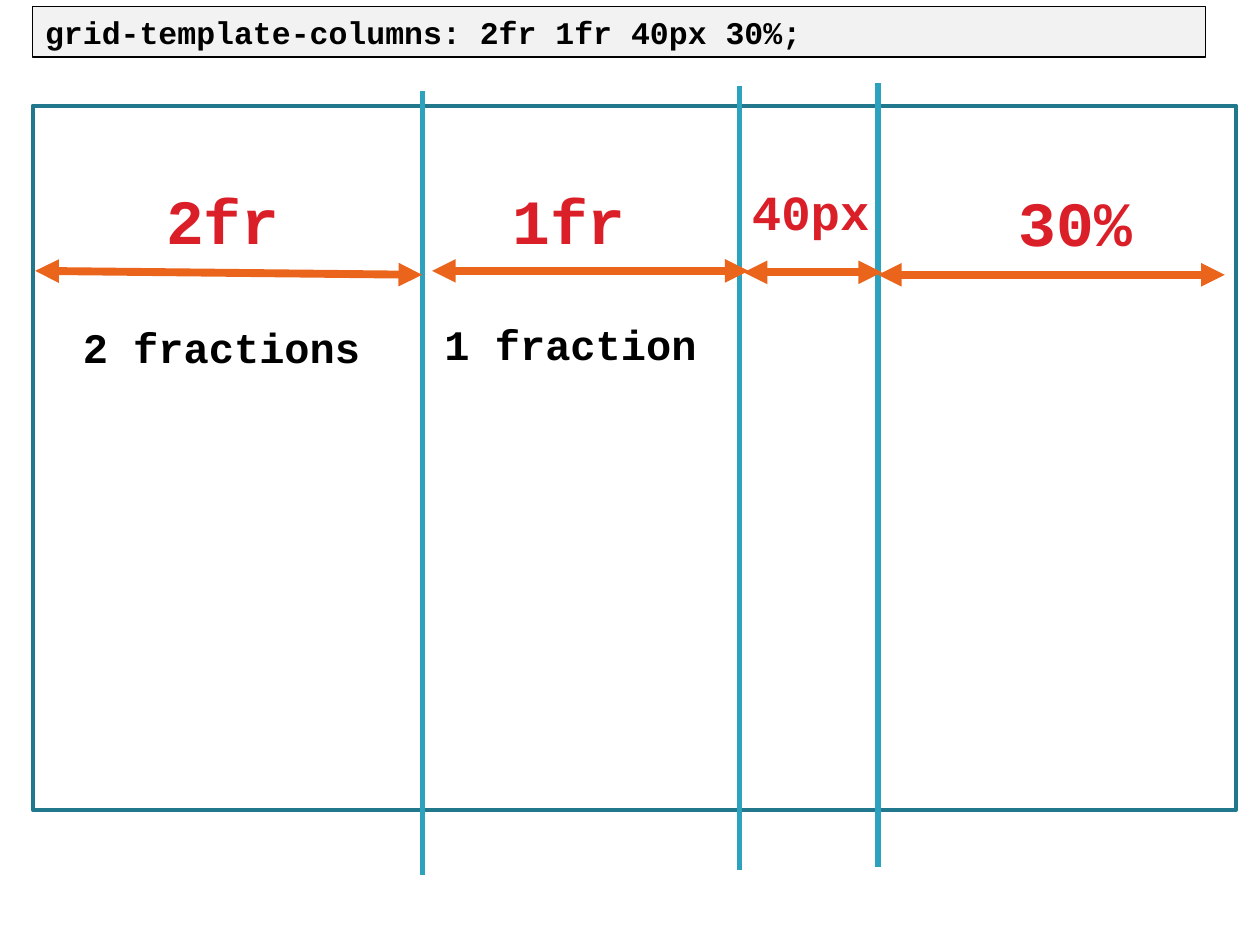
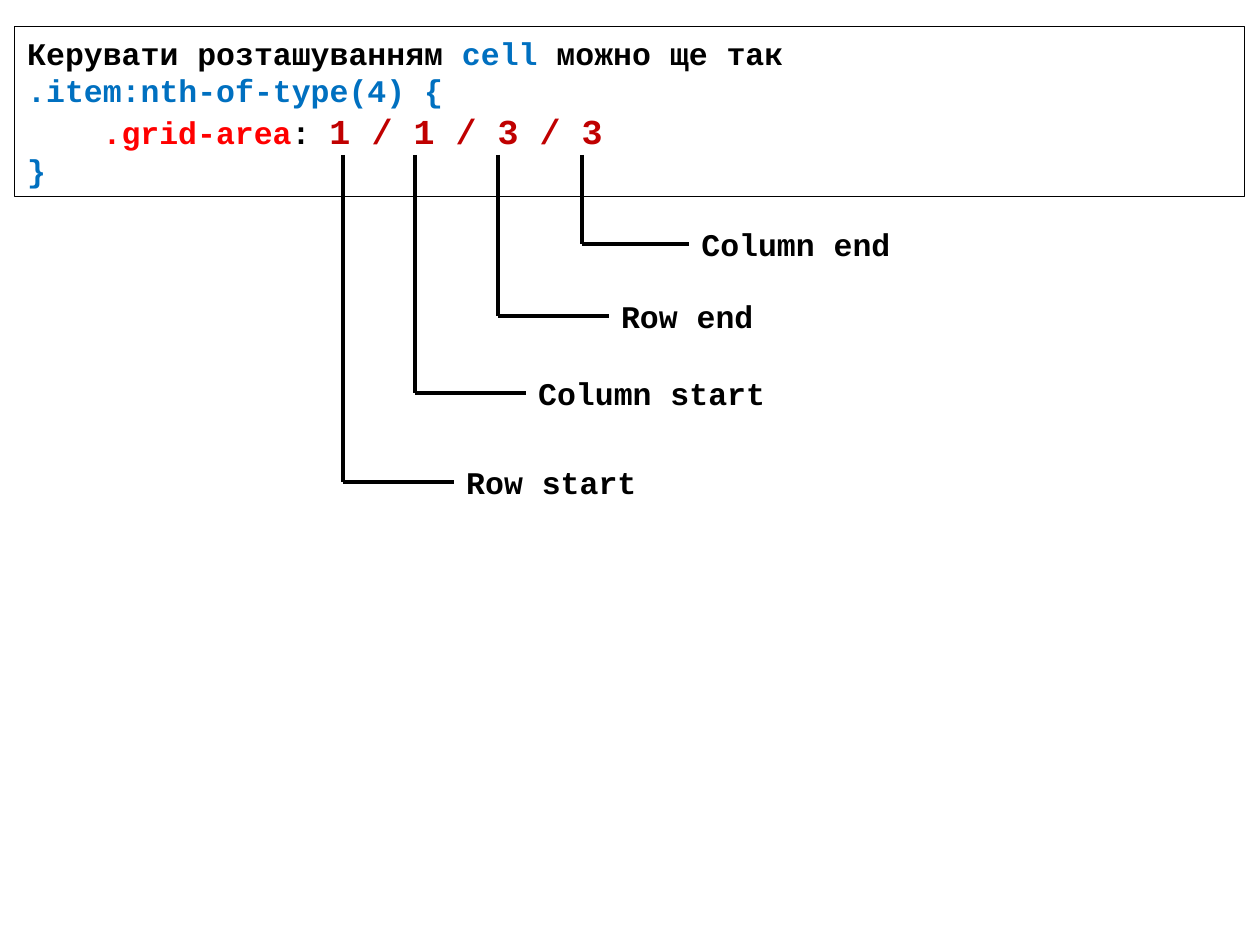
from lxml.etree import SubElement
from pptx import Presentation
from pptx.dml.color import RGBColor
from pptx.enum.shapes import MSO_CONNECTOR, MSO_SHAPE
from pptx.enum.text import MSO_ANCHOR, MSO_AUTO_SIZE, PP_ALIGN
from pptx.oxml.ns import qn
from pptx.util import Cm, Pt

FONT = "Courier New"
BLACK = RGBColor(0x00, 0x00, 0x00)
LIGHT_GREY = RGBColor(0xF2, 0xF2, 0xF2)
FRAME_TEAL = RGBColor(0x21, 0x78, 0x8D)
DIVIDER_TEAL = RGBColor(0x2D, 0xA2, 0xBF)
ORANGE = RGBColor(0xEB, 0x64, 0x1B)
LABEL_RED = RGBColor(0xDA, 0x1F, 0x28)
CODE_BLUE = RGBColor(0x00, 0x70, 0xC0)
CODE_RED = RGBColor(0xFF, 0x00, 0x00)
VALUE_RED = RGBColor(0xC0, 0x00, 0x00)


def style_font(font, size, color):
    font.name = FONT
    font.bold = True
    font.size = Pt(size)
    font.color.rgb = color


def add_rectangle(shapes, box, line_color, line_width, fill=None):
    rectangle = shapes.add_shape(MSO_SHAPE.RECTANGLE, *map(Cm, box))
    rectangle.shadow.inherit = False
    rectangle.line.color.rgb = line_color
    rectangle.line.width = Pt(line_width)
    if fill is None:
        rectangle.fill.background()
    else:
        rectangle.fill.solid()
        rectangle.fill.fore_color.rgb = fill
    return rectangle


def add_line(shapes, start, end, color, width, arrows=False):
    line = shapes.add_connector(MSO_CONNECTOR.STRAIGHT, *map(Cm, (*start, *end)))
    line.line.color.rgb = color
    line.line.width = Pt(width)
    properties = line._element.spPr
    SubElement(properties, qn("a:effectLst"))
    if arrows:
        outline = properties.find(qn("a:ln"))
        for end_tag in ("a:headEnd", "a:tailEnd"):
            SubElement(outline, qn(end_tag)).set("type", "triangle")
    return line


def add_label(shapes, box, text, size, color):
    label = shapes.add_textbox(*map(Cm, box))
    frame = label.text_frame
    frame.word_wrap = False
    frame.auto_size = MSO_AUTO_SIZE.SHAPE_TO_FIT_TEXT
    para = frame.paragraphs[0]
    para.text = text
    style_font(para.font, size, color)
    return label


def add_code_box(page, box, code_lines, fill=None):
    code_box = add_rectangle(page.shapes, box, BLACK, 0.75, fill)
    frame = code_box.text_frame
    frame.word_wrap = True
    frame.vertical_anchor = MSO_ANCHOR.MIDDLE
    frame.auto_size = MSO_AUTO_SIZE.SHAPE_TO_FIT_TEXT
    for index, (indent, spans) in enumerate(code_lines):
        para = frame.add_paragraph() if index else frame.paragraphs[0]
        para.alignment = PP_ALIGN.LEFT
        if indent:
            para._p.get_or_add_pPr().set("marL", str(Cm(indent)))
        for text, color, size in spans:
            span = para.add_run()
            span.text = text
            style_font(span.font, size, color)


def add_column_grid(page, box):
    left, top, width, height = box
    shapes = page.shapes
    add_rectangle(shapes, box, FRAME_TEAL, 2.25)

    dividers = [(7.85, -0.3), (14.25, -0.4), (17.04, -0.45)]
    for x, y in dividers:
        start = (left + x, top + y)
        add_line(shapes, start, (start[0], start[1] + 15.8), DIVIDER_TEAL, 3)

    spans = [
        (0.05, 3.33, 7.85, 3.41),
        (8.05, 3.33, 14.43, 3.33),
        (14.33, 3.36, 17.12, 3.36),
        (17.04, 3.41, 24.03, 3.41),
    ]
    for x1, y1, x2, y2 in spans:
        add_line(shapes, (left + x1, top + y1), (left + x2, top + y2),
                 ORANGE, 4.5, arrows=True)

    labels = [
        ("2fr", 2.44, 1.4, 2.82, 1.8, 36, LABEL_RED),
        ("1fr", 9.42, 1.4, 2.82, 1.8, 36, LABEL_RED),
        ("40px", 14.25, 1.4, 2.9, 1.45, 28, LABEL_RED),
        ("30%", 19.63, 1.45, 2.82, 1.8, 36, LABEL_RED),
        ("2 fractions", 0.76, 4.22, 6.15, 1.27, 24, BLACK),
        ("1 fraction", 8.05, 4.17, 5.64, 1.27, 24, BLACK),
    ]
    for text, x, y, label_width, label_height, size, color in labels:
        add_label(shapes, (left + x, top + y, label_width, label_height),
                  text, size, color)


def add_area_callouts(page, left, top):
    group = page.shapes.add_group_shape()
    label_height = 1.02
    callouts = [
        ("Row start", 0, 6.6, 2.24, 3.96),
        ("Column start", 1.45, 4.8, 2.24, 5.11),
        ("Row end", 3.12, 3.25, 2.24, 3.2),
        ("Column end", 4.83, 1.8, 2.15, 4.34),
    ]
    for text, x, drop, arm, label_width in callouts:
        corner = (left + x, top + drop)
        label_left = corner[0] + arm
        label = add_label(
            group.shapes,
            (label_left, corner[1] - label_height / 2, label_width, label_height),
            text, 18, BLACK)
        add_line(group.shapes, (corner[0], top), corner, BLACK, 2.25)
        arm_line = add_line(group.shapes, corner, (label_left, corner[1]), BLACK, 2.25)
        arm_line.end_connect(label, 1)


def build_columns_page(deck):
    page = deck.slides.add_slide(deck.slide_layouts[6])
    declaration = [("grid-template-columns: 2fr 1fr 40px 30%;", BLACK, 18)]
    add_code_box(page, (0.66, 0.13, 23.65, 1.02), [(0, declaration)], LIGHT_GREY)
    add_column_grid(page, (0.66, 2.13, 24.26, 14.2))


def build_area_page(deck):
    page = deck.slides.add_slide(deck.slide_layouts[6])
    code_lines = [
        (0, [("Керувати розташуванням ", BLACK, 18), ("cell ", CODE_BLUE, 18),
             ("можно ще так", BLACK, 18)]),
        (0, [(".item:nth-of-type(4) {", CODE_BLUE, 18)]),
        (1.52, [(".grid-area", CODE_RED, 18), (": ", BLACK, 18),
                ("1 / 1 / 3 / 3", VALUE_RED, 20)]),
        (0, [("}", CODE_BLUE, 18)]),
    ]
    add_code_box(page, (0.3, 0.53, 24.79, 3.43), code_lines)
    add_area_callouts(page, 6.91, 3.12)


def main():
    deck = Presentation()
    deck.slide_width = Cm(25.4)
    deck.slide_height = Cm(19.05)
    build_columns_page(deck)
    build_area_page(deck)
    deck.save("out.pptx")


if __name__ == "__main__":
    main()
